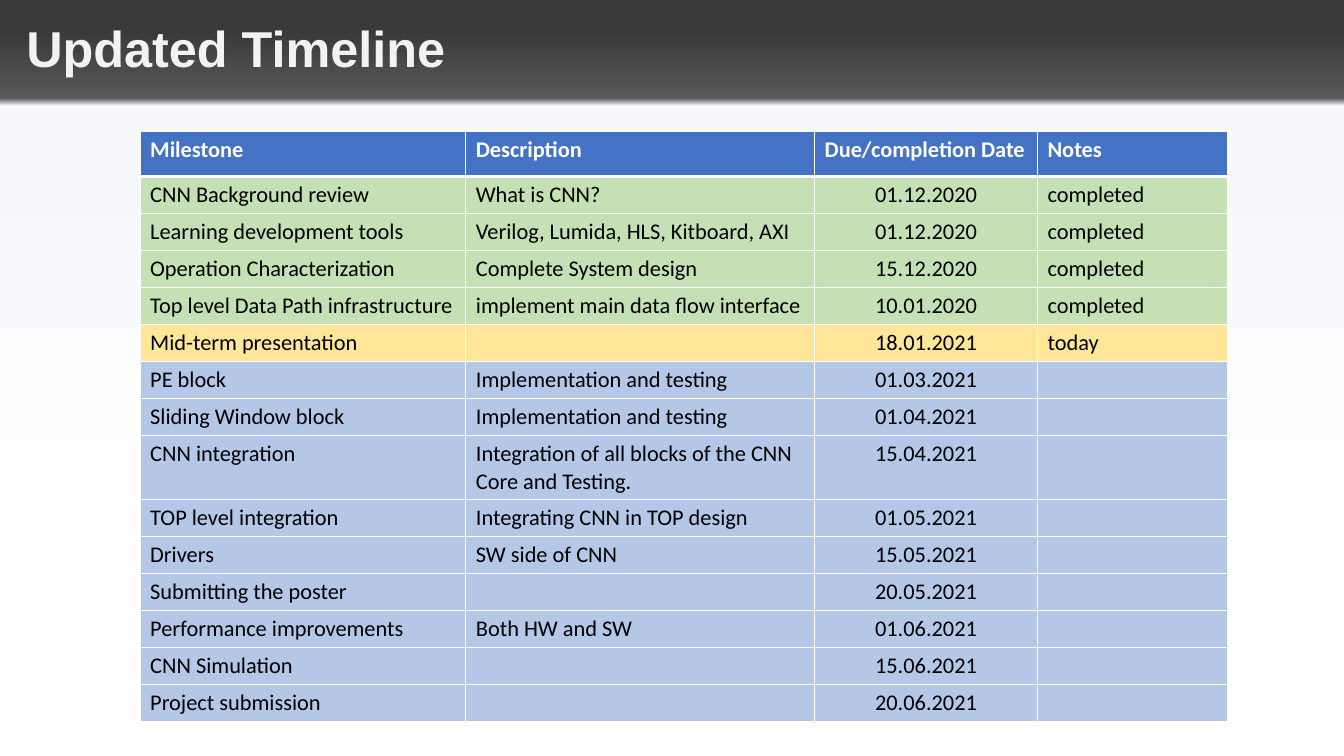
import lxml.etree
import pptx
import pptx.dml.color
import pptx.enum.text
import pptx.oxml.ns
import pptx.util

WIDE, HIGH = 13.33, 7.5
COLORS = {
    "title": "F2F2F2", "white": "FFFFFF", "black": "000000",
    "head": "4472C4", "done": "C5E0B4", "now": "FFE699", "next": "B4C7E7",
    "dark": "3B3838", "gray": "595959", "pale": "F6F8FC",
}
STOPS = [(4, "dark"), (13, "gray"), (14, "pale"), (73, "white"), (100, "white")]
COLS = [3.23, 3.46, 2.21, 1.89]
HEAD, ROW, TALL = 0.45, 0.367, 0.635
DATE = 2
SIZE = 16
ROWS = [
    ("head", "Milestone", "Description", "Due/completion Date", "Notes"),
    ("done", "CNN Background review", "What is CNN?", "01.12.2020", "completed"),
    ("done", "Learning development tools", "Verilog, Lumida, HLS, Kitboard, AXI",
     "01.12.2020", "completed"),
    ("done", "Operation Characterization", "Complete System design",
     "15.12.2020", "completed"),
    ("done", "Top level Data Path infrastructure",
     "implement main data flow interface", "10.01.2020", "completed"),
    ("now", "Mid-term presentation", "", "18.01.2021", "today"),
    ("next", "PE block", "Implementation and testing", "01.03.2021", ""),
    ("next", "Sliding Window block", "Implementation and testing", "01.04.2021", ""),
    ("next", "CNN integration",
     "Integration of all blocks of the CNN Core and Testing.", "15.04.2021", ""),
    ("next", "TOP level integration", "Integrating CNN in TOP design",
     "01.05.2021", ""),
    ("next", "Drivers", "SW side of CNN", "15.05.2021", ""),
    ("next", "Submitting the poster", "", "20.05.2021", ""),
    ("next", "Performance improvements", "Both HW and SW", "01.06.2021", ""),
    ("next", "CNN Simulation", "", "15.06.2021", ""),
    ("next", "Project submission", "", "20.06.2021", ""),
]

inch = pptx.util.Inches
qn = pptx.oxml.ns.qn


def color(name):
    return pptx.dml.color.RGBColor.from_string(COLORS[name])


def node(parent, tag, **attrs):
    return lxml.etree.SubElement(parent, qn(tag), **attrs)


def style(par, face, size, tint, bold):
    par.font.name = face
    par.font.size = pptx.util.Pt(size)
    par.font.bold = bold
    par.font.color.rgb = color(tint)


def backdrop(slide):
    fill = slide.background.fill
    fill.gradient()
    fill.gradient_angle = 270
    stops = next(slide.element.iter(qn("a:gsLst")))
    for stop in list(stops):
        stops.remove(stop)
    for place, name in STOPS:
        stop = node(stops, "a:gs", pos=str(place * 1000))
        node(stop, "a:srgbClr", val=COLORS[name])


def title(slide, text):
    box = slide.shapes.add_textbox(inch(0.14), inch(0.12), inch(4.4), inch(0.71))
    frame = box.text_frame
    frame.word_wrap = False
    frame.auto_size = pptx.enum.text.MSO_AUTO_SIZE.SHAPE_TO_FIT_TEXT
    par = frame.paragraphs[0]
    par.text = text
    par.alignment = pptx.enum.text.PP_ALIGN.CENTER
    style(par, "Arial", 36, "title", True)


def border(cell, top, base):
    props = cell._tc.get_or_add_tcPr()
    for side, width in (("L", 1), ("R", 1), ("T", top), ("B", base)):
        line = node(props, f"a:ln{side}", w=str(pptx.util.Pt(width)))
        node(node(line, "a:solidFill"), "a:srgbClr", val=COLORS["white"])


def entry(cell, text, kind, center):
    cell.fill.solid()
    cell.fill.fore_color.rgb = color(kind)
    par = cell.text_frame.paragraphs[0]
    if not text:
        node(par._p, "a:endParaRPr", sz=str(SIZE * 100))
        return
    par.text = text
    head = kind == "head"
    style(par, "Calibri", SIZE, "white" if head else "black", head)
    if center:
        par.alignment = pptx.enum.text.PP_ALIGN.CENTER


def timeline(slide):
    highs = [HEAD if row[0] == "head" else TALL if row[1] == "CNN integration" else ROW
             for row in ROWS]
    table = slide.shapes.add_table(
        len(ROWS), len(COLS), inch(1.39), inch(1.3),
        inch(sum(COLS)), inch(sum(highs))).table
    for col, wide in zip(table.columns, COLS):
        col.width = inch(wide)
    for r, (kind, *texts) in enumerate(ROWS):
        table.rows[r].height = inch(highs[r])
        for c, text in enumerate(texts):
            cell = table.cell(r, c)
            border(cell, 3 if r == 1 else 1, 3 if r == 0 else 1)
            entry(cell, text, kind, r > 0 and c == DATE)
    table.cell(5, 0).vertical_anchor = pptx.enum.text.MSO_ANCHOR.MIDDLE


def main():
    deck = pptx.Presentation()
    deck.slide_width, deck.slide_height = inch(WIDE), inch(HIGH)
    slide = deck.slides.add_slide(deck.slide_layouts[6])
    backdrop(slide)
    title(slide, "Updated Timeline")
    timeline(slide)
    deck.save("out.pptx")


main()
